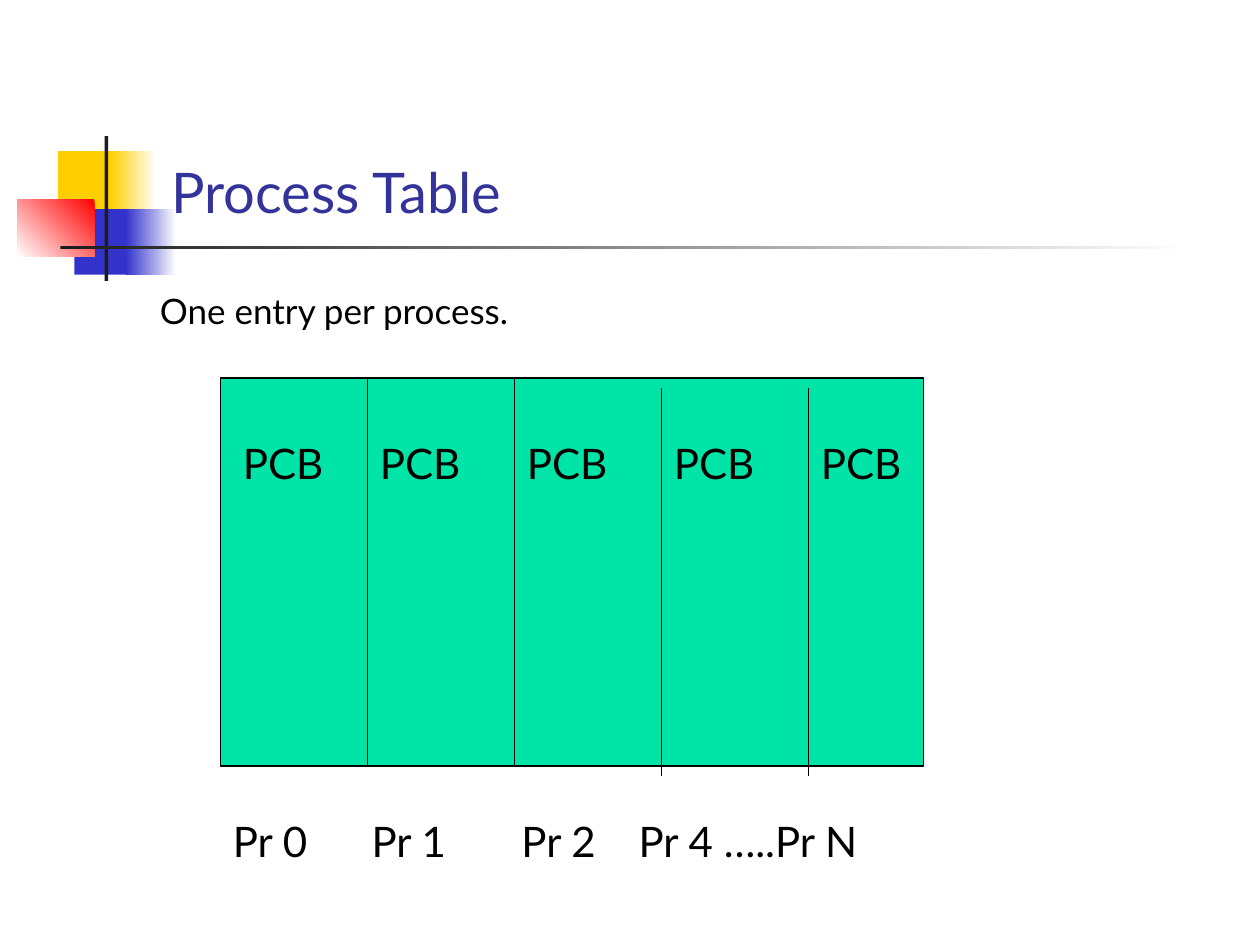
from dataclasses import dataclass

from lxml.etree import SubElement
from pptx import Presentation
from pptx.dml.color import RGBColor
from pptx.enum.shapes import MSO_CONNECTOR as CONN, MSO_SHAPE as SHAPE
from pptx.enum.text import MSO_ANCHOR as ANCHOR, MSO_AUTO_SIZE as AUTO, PP_ALIGN as ALIGN
from pptx.oxml.ns import qn
from pptx.util import Inches, Pt


@dataclass(frozen=True)
class Theme:
    font: str = "Lato"
    white: str = "FFFFFF"
    text: str = "000000"
    title: str = "333399"
    yellow: str = "FFCF01"
    blue: str = "3333CC"
    red: str = "FF0000"
    rule: str = "1C1C1C"
    table: str = "00E4A8"
    title_size: int = 32
    label_size: int = 24
    body_size: int = 20
    line: float = 0.75


T = Theme()


def rgb(color):
    return RGBColor.from_string(color)


def write(tf, text, size=T.label_size, color=T.text, anchor=ANCHOR.TOP, auto=AUTO.SHAPE_TO_FIT_TEXT, tabs=()):
    tf.word_wrap = True
    tf.auto_size = auto
    tf.vertical_anchor = anchor
    p = tf.paragraphs[0]
    p.alignment = ALIGN.LEFT
    r = p.add_run()
    r.text = text
    r.font.name, r.font.size = T.font, Pt(size)
    r.font.color.rgb = rgb(color)
    if tabs:
        tab_list = SubElement(p._p.get_or_add_pPr(), qn("a:tabLst"))
        for pos in tabs:
            SubElement(tab_list, qn("a:tab"), pos=str(Inches(pos)), algn="l")


def add_text(shapes, box, text, **fmt):
    sp = shapes.add_textbox(*map(Inches, box))
    write(sp.text_frame, text, **fmt)


def add_rect(shapes, box, color, fade_angle=None, line=None):
    sp = shapes.add_shape(SHAPE.RECTANGLE, *map(Inches, box))
    sp.shadow.inherit = False
    if fade_angle is None:
        sp.fill.solid()
        sp.fill.fore_color.rgb = rgb(color)
    else:
        sp.fill.gradient()
        sp.fill.gradient_angle = fade_angle
        for stop, c in zip(sp.fill.gradient_stops, (color, T.white)):
            stop.color.rgb = rgb(c)
    if line:
        sp.line.color.rgb = rgb(line)
        sp.line.width = Pt(T.line)
    else:
        sp.line.fill.background()


def add_divider(shapes, x, top, height):
    ln = shapes.add_connector(CONN.STRAIGHT, *map(Inches, (x, top, x, top + height)))
    ln.line.color.rgb = rgb(T.text)
    ln.line.width = Pt(T.line)
    SubElement(ln._element.spPr, qn("a:effectLst"))


def add_ornament(shapes):
    add_rect(shapes, (0.46, 1.2, 0.48, 0.52), T.yellow)
    add_rect(shapes, (0.88, 1.2, 0.36, 0.52), T.yellow, fade_angle=0)
    add_rect(shapes, (0.59, 1.66, 0.46, 0.52), T.blue)
    add_rect(shapes, (1, 1.66, 0.4, 0.52), T.blue, fade_angle=0)
    add_rect(shapes, (0.14, 1.58, 0.61, 0.46), T.red, fade_angle=225)
    add_rect(shapes, (0.83, 1.08, 0.03, 1.15), T.rule)
    add_rect(shapes, (0.48, 1.95, 9, 0.03), T.rule, fade_angle=0)


def add_title(slide, text):
    sp = slide.shapes.title
    sp.left, sp.top, sp.width, sp.height = map(Inches, (1.26, 0.23, 8.52, 1.6))
    write(sp.text_frame, text, size=T.title_size, color=T.title, anchor=ANCHOR.BOTTOM, auto=AUTO.NONE)
    slide.shapes._spTree.append(sp._element)


def add_process_table(slide):
    left, top, height, step = 1.75, 3, 3.08, 7 / 6
    shapes = slide.shapes.add_group_shape().shapes
    add_rect(shapes, (left, top, 5.58, height), T.table, line=T.text)
    columns = [left + i * step for i in range(5)]
    for x, drop in zip(columns[1:], (0, 0, 0.08, 0.08)):
        add_divider(shapes, x, top + drop, height)
    for x in [left + 0.08] + columns[1:]:
        add_text(shapes, (x, 3.42, 1.25, 0.5), "PCB")


def main():
    prs = Presentation()
    prs.slide_width, prs.slide_height = Inches(10), Inches(7.5)
    slide = prs.slides.add_slide(prs.slide_layouts[5])
    add_ornament(slide.shapes)
    add_title(slide, "Process Table")
    add_text(slide.shapes, (1.17, 2.25, 4.25, 0.44), "One entry per process.", size=T.body_size)
    add_process_table(slide)
    add_text(slide.shapes, (1.75, 6.42, 5.75, 0.5), "Pr 0\tPr 1\tPr 2\tPr 4 …..Pr N", tabs=(1.1, 2.29, 3.22))
    prs.save("out.pptx")


if __name__ == "__main__":
    main()
